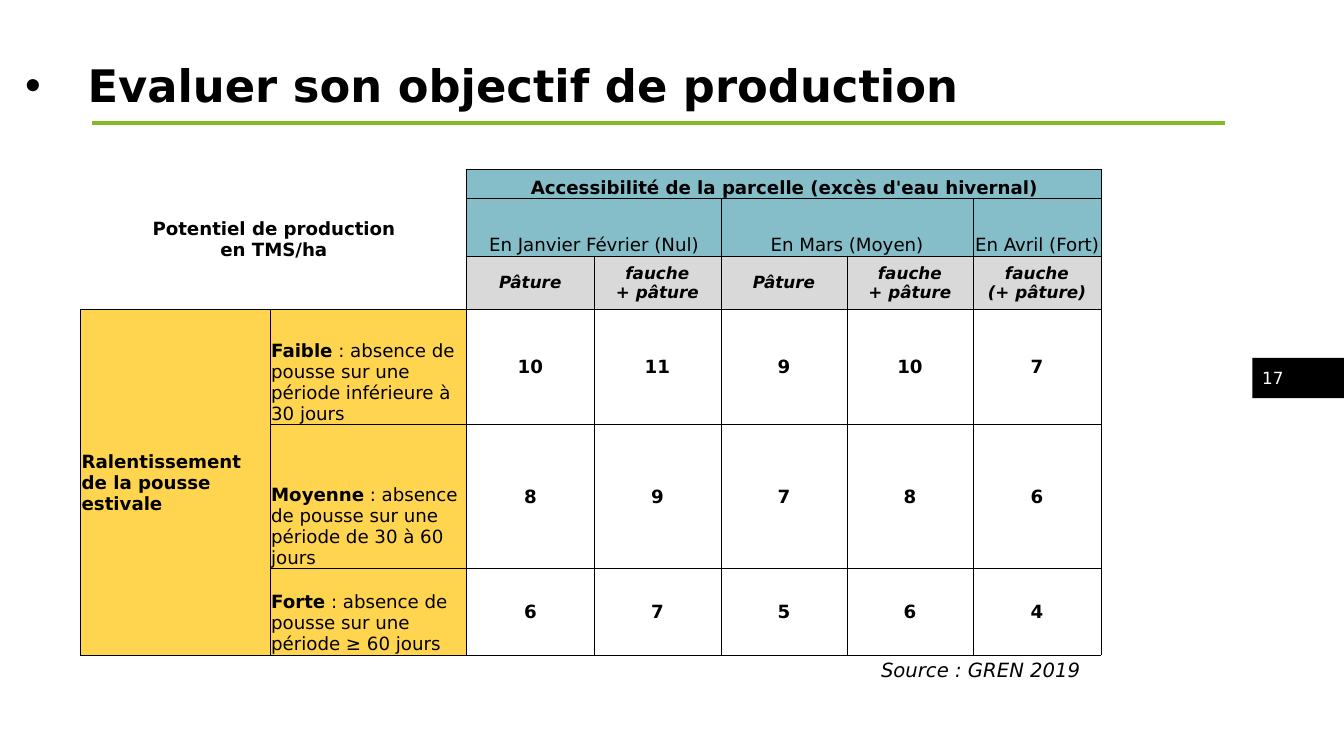
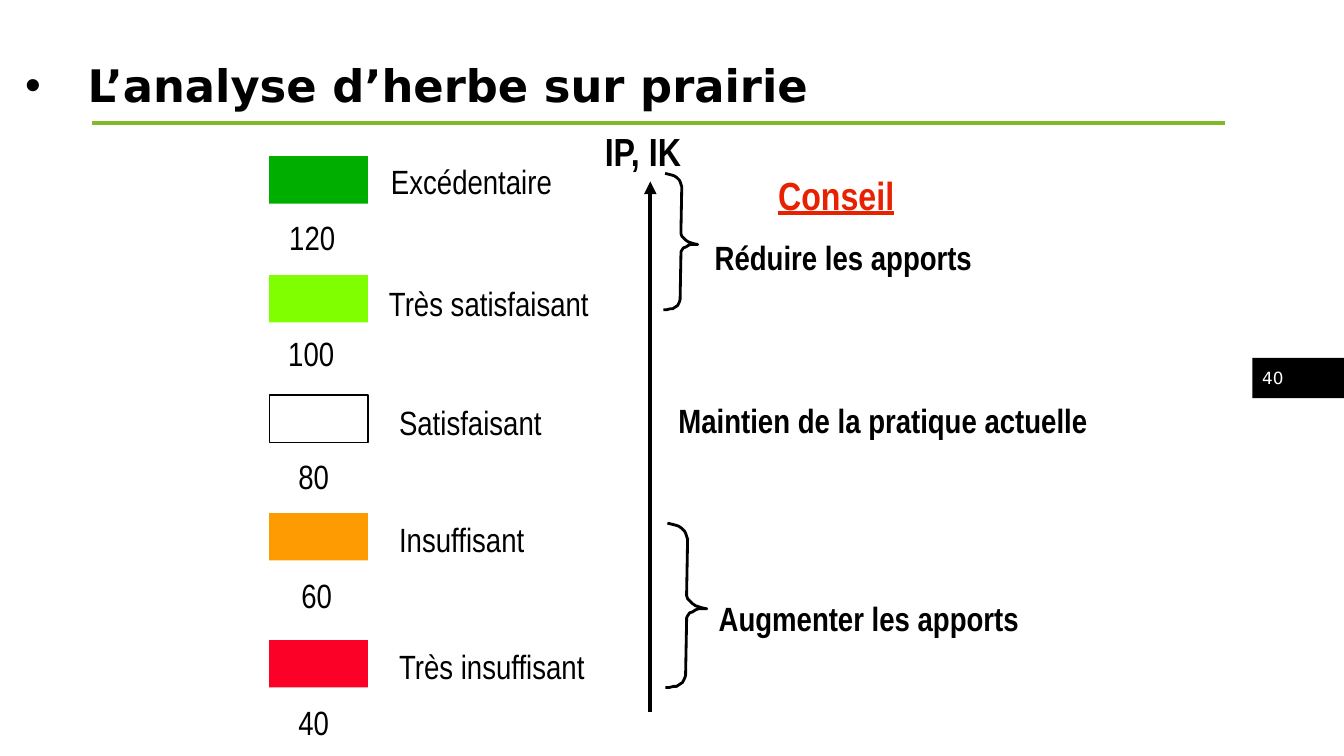
from dataclasses import dataclass

from lxml import etree
from pptx import Presentation
from pptx.dml.color import RGBColor
from pptx.enum.shapes import MSO_CONNECTOR, MSO_SHAPE
from pptx.enum.text import MSO_ANCHOR, PP_ALIGN
from pptx.oxml.ns import qn
from pptx.util import Pt

PX = 9144  # EMU per px, 100 px to the inch
LEFT, CENTER = PP_ALIGN.LEFT, PP_ALIGN.CENTER
TOP, MIDDLE, BOTTOM = MSO_ANCHOR.TOP, MSO_ANCHOR.MIDDLE, MSO_ANCHOR.BOTTOM
RECTANGLE, STRAIGHT = MSO_SHAPE.RECTANGLE, MSO_CONNECTOR.STRAIGHT


@dataclass(frozen=True)
class Theme:
    wide: str = "DejaVu Sans"
    narrow: str = "Arial Narrow"
    black: str = "000000"
    white: str = "FFFFFF"
    green: str = "80BA27"
    blue: str = "85BEC9"
    grey: str = "D9D9D9"
    yellow: str = "FFD54F"
    red: str = "E82100"
    surplus: str = "00AE00"
    very_good: str = "7FFF00"
    low: str = "FE9B03"
    very_low: str = "FC0128"
    title: int = 32
    heading: int = 28
    caption: int = 24
    source: int = 14
    cell: int = 13
    small: int = 12


theme = Theme()


def write(frame, lines, size, font=theme.wide, color=theme.black,
          italic=False, align=LEFT, anchor=TOP):
    """Fill a text frame; each line is a list of (text, bold) pairs."""
    frame.word_wrap = True
    frame.vertical_anchor = anchor
    for number, line in enumerate(lines):
        para = frame.add_paragraph() if number else frame.paragraphs[0]
        para.alignment = align
        for text, bold in line:
            span = para.add_run()
            span.text = text
            span.font.name = font
            span.font.size = Pt(size)
            span.font.bold = bold
            span.font.italic = italic
            span.font.color.rgb = RGBColor.from_string(color)


def add_line(page, ends, color, width):
    line = page.shapes.add_connector(STRAIGHT, *(v * PX for v in ends))
    line.line.color.rgb = RGBColor.from_string(color)
    line.line.width = Pt(width)
    etree.SubElement(line._element.spPr, qn("a:effectLst"))
    return line


deck = Presentation()
deck.slide_width, deck.slide_height = 1333 * PX, 750 * PX

# Shared frame: rule, bulleted title, page number
pages = []
for title, number in (("Evaluer son objectif de production", "17"),
                      ("L’analyse d’herbe sur prairie", "40")):
    page = deck.slides.add_slide(deck.slide_layouts[6])
    pages.append(page)
    add_line(page, (91, 122, 1215, 122), theme.green, 2.25)

    box = page.shapes.add_textbox(*(v * PX for v in (15, 40, 1201, 94)))
    write(box.text_frame, [[(title, True)]], theme.title, anchor=MIDDLE)
    para = box.text_frame.paragraphs[0]
    para.line_spacing = 0.9
    properties = para._p.get_or_add_pPr()
    properties.set("marL", str(62 * PX))
    properties.set("indent", str(-62 * PX))
    etree.SubElement(properties, qn("a:buFont")).set("typeface", "Arial")
    etree.SubElement(properties, qn("a:buChar")).set("char", "•")

    tab = page.shapes.add_shape(RECTANGLE, *(v * PX for v in (1242, 355, 92, 40)))
    tab.shadow.inherit = False
    tab.fill.solid()
    tab.fill.fore_color.rgb = RGBColor.from_string(theme.black)
    tab.line.fill.background()
    write(tab.text_frame, [[(number, False)]], theme.small, color=theme.white, anchor=MIDDLE)

production, analysis = pages

# Production table
column_widths = (188, 195, 126, 126, 125, 125, 127)
row_heights = (29, 57, 53, 114, 143, 86)
HEAD_ROWS, HEAD_COLUMNS = 3, 2
table = production.shapes.add_table(
    len(row_heights), len(column_widths), 80 * PX, 168 * PX,
    sum(column_widths) * PX, sum(row_heights) * PX).table
table.first_row = table.horz_banding = False
for column, width in zip(table.columns, column_widths):
    column.width = width * PX
for row, height in zip(table.rows, row_heights):
    row.height = height * PX

for r in range(len(row_heights)):
    for c in range(len(column_widths)):
        cell = table.cell(r, c)
        cell.margin_left = cell.margin_right = cell.margin_top = PX
        cell.margin_bottom = 0
        in_corner = r < HEAD_ROWS and c < HEAD_COLUMNS
        beside_corner = r < HEAD_ROWS and c == HEAD_COLUMNS
        below_corner = r == HEAD_ROWS and c < HEAD_COLUMNS
        widths = {
            "L": 0 if in_corner else 1 if beside_corner else 0.5,
            "R": 1 if in_corner else 0.5,
            "T": 0 if in_corner else 1 if below_corner else 0.5,
            "B": 1 if in_corner else 0.5,
        }
        properties = cell._tc.get_or_add_tcPr()
        for side, width in widths.items():
            border = etree.SubElement(properties, qn(f"a:ln{side}"))
            border.set("w", str(Pt(width)))
            if width:
                fill = etree.SubElement(border, qn("a:solidFill"))
                etree.SubElement(fill, qn("a:srgbClr")).set("val", theme.black)
            else:
                etree.SubElement(border, qn("a:noFill"))
        if c < HEAD_COLUMNS:
            color = theme.yellow
        else:
            color = theme.grey if r == HEAD_ROWS - 1 else theme.blue
        if in_corner or (r >= HEAD_ROWS and c >= HEAD_COLUMNS):
            cell.fill.background()
        else:
            cell.fill.solid()
            cell.fill.fore_color.rgb = RGBColor.from_string(color)

# row, column, rows spanned, columns spanned, lines, alignment, anchor
headings = [
    (0, 0, 3, 2, [[("Potentiel de production", True)], [("en TMS/ha", True)]], CENTER, MIDDLE),
    (0, 2, 1, 5, [[("Accessibilité de la parcelle (excès d'eau hivernal)", True)]],
     CENTER, BOTTOM),
    (1, 2, 1, 2, [[("En Janvier Février (Nul)", False)]], CENTER, BOTTOM),
    (1, 4, 1, 2, [[("En Mars (Moyen)", False)]], CENTER, BOTTOM),
    (1, 6, 1, 1, [[("En Avril (Fort)", False)]], CENTER, BOTTOM),
    (3, 0, 3, 1, [[("Ralentissement de la pousse estivale", True)]], LEFT, MIDDLE),
]
for r, c, rows, columns, lines, align, anchor in headings:
    cell = table.cell(r, c)
    if rows * columns > 1:
        cell.merge(table.cell(r + rows - 1, c + columns - 1))
    write(cell.text_frame, lines, theme.cell, align=align)
    cell.vertical_anchor = anchor

uses = (("Pâture",), ("fauche", "+ pâture"), ("Pâture",),
        ("fauche", "+ pâture"), ("fauche", "(+ pâture)"))
for c, use in enumerate(uses, HEAD_COLUMNS):
    cell = table.cell(2, c)
    write(cell.text_frame, [[(line, True)] for line in use], theme.small,
          italic=True, align=CENTER)
    cell.vertical_anchor = MIDDLE

slowdowns = (
    ("Faible", " : absence de pousse sur une période inférieure à 30 jours", (10, 11, 9, 10, 7)),
    ("Moyenne", " : absence de pousse sur une période de 30 à 60 jours", (8, 9, 7, 8, 6)),
    ("Forte", " : absence de pousse sur une période ≥ 60 jours", (6, 7, 5, 6, 4)),
)
for r, (level, meaning, yields) in enumerate(slowdowns, HEAD_ROWS):
    cell = table.cell(r, 1)
    write(cell.text_frame, [[(level, True), (meaning, False)]], theme.cell)
    cell.vertical_anchor = BOTTOM
    for c, value in enumerate(yields, HEAD_COLUMNS):
        cell = table.cell(r, c)
        write(cell.text_frame, [[(str(value), True)]], theme.cell, align=CENTER)
        cell.vertical_anchor = MIDDLE

box = production.shapes.add_textbox(*(v * PX for v in (864, 648, 283, 34)))
write(box.text_frame, [[("Source : GREN 2019", False)]], theme.source, italic=True)

# Grass analysis: colour scale with its thresholds
# colour, swatch top, label, label left and top, threshold left and top
scale = (
    (theme.surplus, 155, "Excédentaire", 378, 155, 277, 210),
    (theme.very_good, 273, "Très satisfaisant", 376, 276, 276, 325),
    (None, 392, "Satisfaisant", 386, 394, 286, 447),
    (theme.low, 509, "Insuffisant", 386, 510, 289, 565),
    (theme.very_low, 635, "Très insuffisant", 386, 636, 286, 691),
)
# text, left, top, width, size, bold, colour
captions = [
    ("IP, IK", 590, 121, 124, theme.heading, True, theme.black),
    ("Conseil", 762, 165, 145, theme.heading, True, theme.red),
    ("Réduire les apports", 699, 230, 348, theme.caption, True, theme.black),
    ("Maintien de la pratique actuelle", 663, 392, 439, theme.caption, True, theme.black),
    ("Augmenter les apports", 703, 588, 383, theme.caption, True, theme.black),
]
for step, (color, top, label, label_left, label_top, mark_left, mark_top) in enumerate(scale):
    swatch = analysis.shapes.add_shape(RECTANGLE, *(v * PX for v in (267, top, 98, 47)))
    swatch.shadow.inherit = False
    if color:
        swatch.fill.solid()
        swatch.fill.fore_color.rgb = RGBColor.from_string(color)
        swatch.line.fill.background()
    else:
        swatch.fill.background()
        swatch.line.color.rgb = RGBColor.from_string(theme.black)
        swatch.line.width = Pt(1)
    threshold = str(120 - 20 * step)
    captions += [
        (label, label_left, label_top, 256, theme.caption, False, theme.black),
        (threshold, mark_left, mark_top, 95, theme.caption, False, theme.black),
    ]

for text, left, top, width, size, bold, color in captions:
    height = 57 if size == theme.heading else 50
    box = analysis.shapes.add_textbox(*(v * PX for v in (left, top, width, height)))
    write(box.text_frame, [[(text, bold)]], size, font=theme.narrow, color=color)
    if text == "Conseil":
        box.text_frame.paragraphs[0].runs[0].font.underline = True

arrow = add_line(analysis, (645, 706, 645, 180), theme.black, 3)
etree.SubElement(arrow.line._get_or_add_ln(), qn("a:tailEnd")).set("type", "triangle")

# Slightly tilted brace, drawn from its lower end to its upper end
brace_points = (
    (0, 163), (4, 163), (8, 162), (11, 162), (14, 160), (17, 158), (18, 156),
    (19, 154), (20, 151), (21, 97), (21, 94), (22, 92), (24, 89), (27, 88),
    (30, 86), (33, 85), (36, 85), (41, 85), (36, 84), (33, 83), (30, 82),
    (27, 80), (25, 78), (22, 75), (21, 72), (21, 70), (22, 16), (21, 13),
    (20, 10), (19, 8), (16, 5), (13, 3), (10, 2), (6, 1), (2, 0),
)
for left, top, size in ((658, 172, 0.83), (660, 519, 1)):
    outline = analysis.shapes.build_freeform(*brace_points[0], scale=size * PX)
    outline.add_line_segments(brace_points[1:], close=False)
    brace = outline.convert_to_shape(left * PX, top * PX)
    brace.shadow.inherit = False
    brace.fill.background()
    brace.line.color.rgb = RGBColor.from_string(theme.black)
    brace.line.width = Pt(2)

deck.save("out.pptx")
